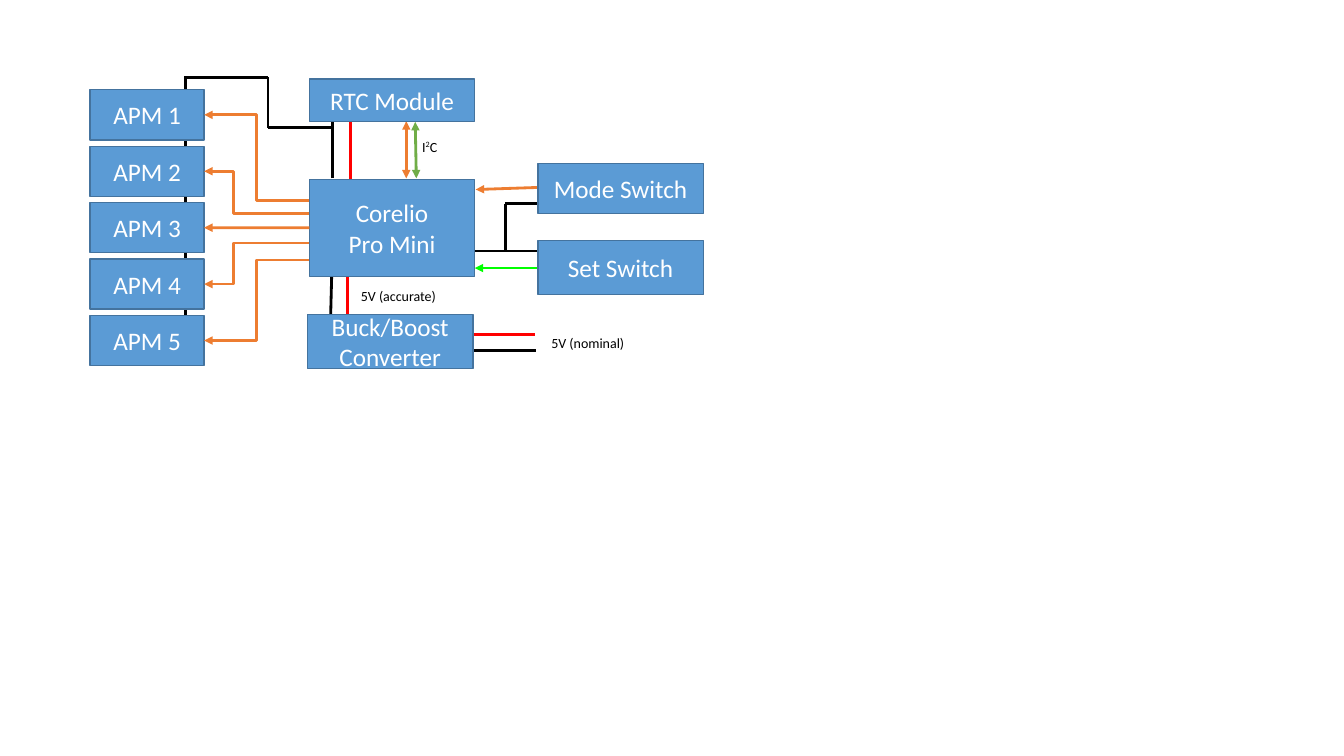
from dataclasses import dataclass

from lxml import etree
from pptx import Presentation
from pptx.dml.color import RGBColor
from pptx.enum.shapes import MSO_CONNECTOR, MSO_SHAPE
from pptx.enum.text import MSO_ANCHOR, PP_ALIGN
from pptx.oxml.ns import qn
from pptx.slide import Slide
from pptx.text.text import _Paragraph as Paragraph
from pptx.util import Pt

STRAIGHT, ELBOW = MSO_CONNECTOR.STRAIGHT, MSO_CONNECTOR.ELBOW
RECTANGLE = MSO_SHAPE.RECTANGLE
MIDDLE, TOP = MSO_ANCHOR.MIDDLE, MSO_ANCHOR.TOP
CENTER, LEFT = PP_ALIGN.CENTER, PP_ALIGN.LEFT


@dataclass(frozen=True)
class Theme:
    """Colours, type sizes and line widths of the diagram."""
    font: str = "Calibri"
    block_size: float = 18
    label_size: float = 10
    superscript: int = 30000
    block_fill: str = "5B9BD5"
    block_line: str = "44739E"
    block_text: str = "FFFFFF"
    ground: str = "000000"
    power: str = "FF0000"
    signal: str = "ED7D31"
    clock: str = "70AD47"
    set_signal: str = "00FF00"
    wire_width: float = 2
    border_width: float = 1


@dataclass(frozen=True)
class Block:
    """A component box; lengths in points."""
    text: str
    left: float
    top: float
    width: float
    height: float


@dataclass(frozen=True)
class Label:
    """A caption; each span is a text and whether it is raised."""
    spans: tuple[tuple[str, bool], ...]
    left: float
    top: float
    width: float
    height: float = 19.4


@dataclass(frozen=True)
class Wire:
    """A line between two points, bent when a bend fraction is given."""
    color: str
    start: tuple[float, float]
    end: tuple[float, float]
    arrow_start: bool = False
    arrow_end: bool = False
    bend: float | None = None


THEME = Theme()
SIDE_WIDTH = 118.2

# APM column, and the controller edge its signal wires leave from
APM_LEFT, APM_TOP, APM_PITCH = 64.3, 64.1, 40.32
APM_WIDTH, APM_HEIGHT = 81.5, 35.8
APM_RIGHT = APM_LEFT + APM_WIDTH
CONTROLLER_LEFT = 221
PORT_YS = (143.3, 152.6, 162.7, 173.6, 185.8)
BENDS = (0.5, 0.28, None, 0.28, 0.5)

APM_BLOCKS = [
    Block(f"APM {row + 1}", APM_LEFT, APM_TOP + row * APM_PITCH, APM_WIDTH, APM_HEIGHT)
    for row in range(len(PORT_YS))
]
BLOCKS = [
    Block("Corelio\vPro Mini", CONTROLLER_LEFT, 128.1, SIDE_WIDTH, 69.3),
    Block("RTC Module", CONTROLLER_LEFT, 56.3, SIDE_WIDTH, 30.3),
    Block("Mode Switch", 384.2, 116.7, SIDE_WIDTH, 35.8),
    Block("Set Switch", 384.2, 172, SIDE_WIDTH, 38.6),
    Block("Buck/Boost Converter", 219.6, 224.5, SIDE_WIDTH, 38.9),
    *APM_BLOCKS,
]

APM_WIRES = [
    Wire(THEME.signal, (APM_RIGHT, block.top + APM_HEIGHT / 2), (CONTROLLER_LEFT, port_y),
         arrow_start=True, bend=bend)
    for block, port_y, bend in zip(APM_BLOCKS, PORT_YS, BENDS)
]
WIRES = [
    # Converter input and output
    Wire(THEME.power, (337.5, 239), (382.5, 239)),
    Wire(THEME.ground, (337.7, 250.6), (383, 250.6)),
    Wire(THEME.ground, (236.2, 225.4), (236.9, 198)),
    Wire(THEME.power, (248.4, 226.1), (248.4, 196.6)),
    # RTC module
    Wire(THEME.ground, (237.6, 127.4), (237.6, 87.1)),
    Wire(THEME.power, (250.6, 128.2), (250.6, 87.1)),
    Wire(THEME.signal, (290.2, 127.4), (290.2, 86.6), arrow_start=True, arrow_end=True),
    Wire(THEME.clock, (297.4, 127.4), (296.6, 87.1), arrow_start=True, arrow_end=True),
    # Switches
    Wire(THEME.signal, (384.5, 133.9), (339.8, 135.4), arrow_end=True),
    Wire(THEME.set_signal, (339.1, 191.5), (384.5, 191.5), arrow_start=True),
    Wire(THEME.ground, (339.1, 179.3), (384.5, 179.3)),
    Wire(THEME.ground, (361, 145.4), (384.5, 145.4)),
    Wire(THEME.ground, (361, 179.3), (361, 145.4)),
    # Ground of the APM column
    Wire(THEME.ground, (191.5, 90.9), (236.9, 90.9)),
    Wire(THEME.ground, (191.5, 91.4), (191.5, 54.7)),
    Wire(THEME.ground, (131.8, 55.2), (191.5, 55.2)),
    Wire(THEME.ground, (132.5, 54.7), (132.5, 226.1)),
]
LABELS = [
    Label((("I", False), ("2", True), ("C", False)), 294.5, 95.2, 25.2),
    Label((("5V (accurate)", False),), 250.7, 201.8, 68.4),
    Label((("5V (nominal)", False),), 386.8, 235.6, 67),
]


def format_spans(para: Paragraph, *, size: float, color: str) -> None:
    """Apply font, size and colour to every span of a paragraph."""
    for span in para.runs:
        span.font.name = THEME.font
        span.font.size = Pt(size)
        span.font.color.rgb = RGBColor.from_string(color)


def draw_block(page: Slide, block: Block) -> None:
    """Draw a filled box with centred text."""
    box = page.shapes.add_shape(RECTANGLE, Pt(block.left), Pt(block.top),
                                Pt(block.width), Pt(block.height))
    box.shadow.inherit = False
    box.fill.solid()
    box.fill.fore_color.rgb = RGBColor.from_string(THEME.block_fill)
    box.line.color.rgb = RGBColor.from_string(THEME.block_line)
    box.line.width = Pt(THEME.border_width)
    box.text_frame.word_wrap = True
    box.text_frame.vertical_anchor = MIDDLE
    para = box.text_frame.paragraphs[0]
    para.text = block.text
    para.alignment = CENTER
    format_spans(para, size=THEME.block_size, color=THEME.block_text)


def draw_label(page: Slide, label: Label) -> None:
    """Draw a small unwrapped caption."""
    box = page.shapes.add_textbox(Pt(label.left), Pt(label.top),
                                  Pt(label.width), Pt(label.height))
    box.text_frame.word_wrap = False
    box.text_frame.vertical_anchor = TOP
    para = box.text_frame.paragraphs[0]
    para.alignment = LEFT
    for text, raised in label.spans:
        span = para.add_run()
        span.text = text
        if raised:
            span._r.get_or_add_rPr().set("baseline", str(THEME.superscript))
    format_spans(para, size=THEME.label_size, color=THEME.ground)


def draw_wire(page: Slide, wire: Wire) -> None:
    """Draw a straight or bent connector with its arrowheads."""
    kind = STRAIGHT if wire.bend is None else ELBOW
    line = page.shapes.add_connector(kind, *map(Pt, wire.start + wire.end))
    line.line.color.rgb = RGBColor.from_string(wire.color)
    line.line.width = Pt(THEME.wire_width)
    properties = line._element.spPr
    outline = properties.find(qn("a:ln"))
    for tag, wanted in (("a:headEnd", wire.arrow_start), ("a:tailEnd", wire.arrow_end)):
        if wanted:
            etree.SubElement(outline, qn(tag), type="triangle")
    etree.SubElement(properties, qn("a:effectLst"))
    if wire.bend is not None:
        geometry = properties.find(qn("a:prstGeom"))
        guides = geometry.find(qn("a:avLst"))
        etree.SubElement(guides, qn("a:gd"), name="adj1", fmla=f"val {round(wire.bend * 100000)}")


def main() -> None:
    """Build the wiring diagram and save it."""
    deck = Presentation()
    deck.slide_width, deck.slide_height = Pt(960), Pt(540)
    page = deck.slides.add_slide(deck.slide_layouts[6])
    for wire in WIRES:
        draw_wire(page, wire)
    for block in BLOCKS:
        draw_block(page, block)
    for wire in APM_WIRES:
        draw_wire(page, wire)
    for label in LABELS:
        draw_label(page, label)
    deck.save("out.pptx")


main()
